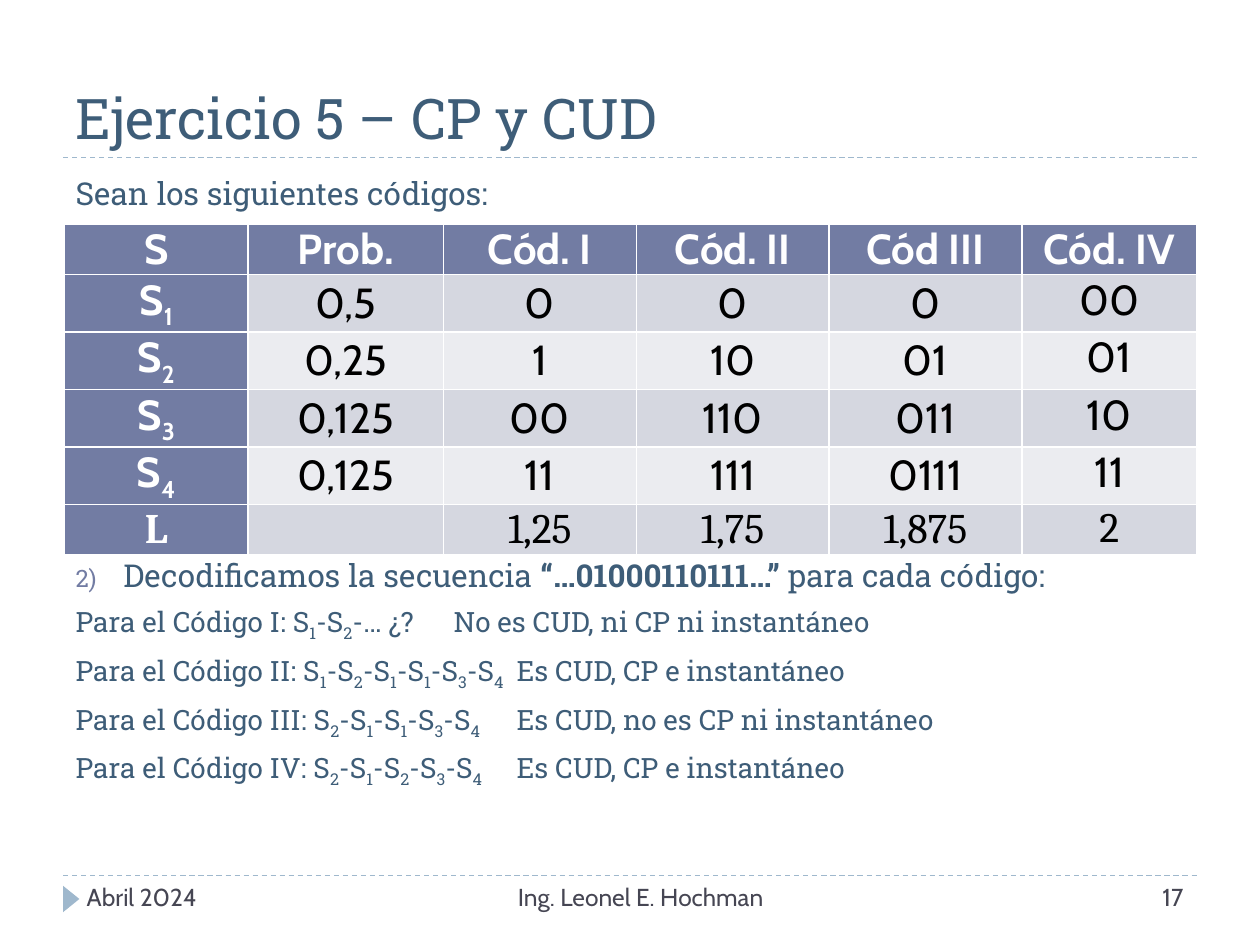
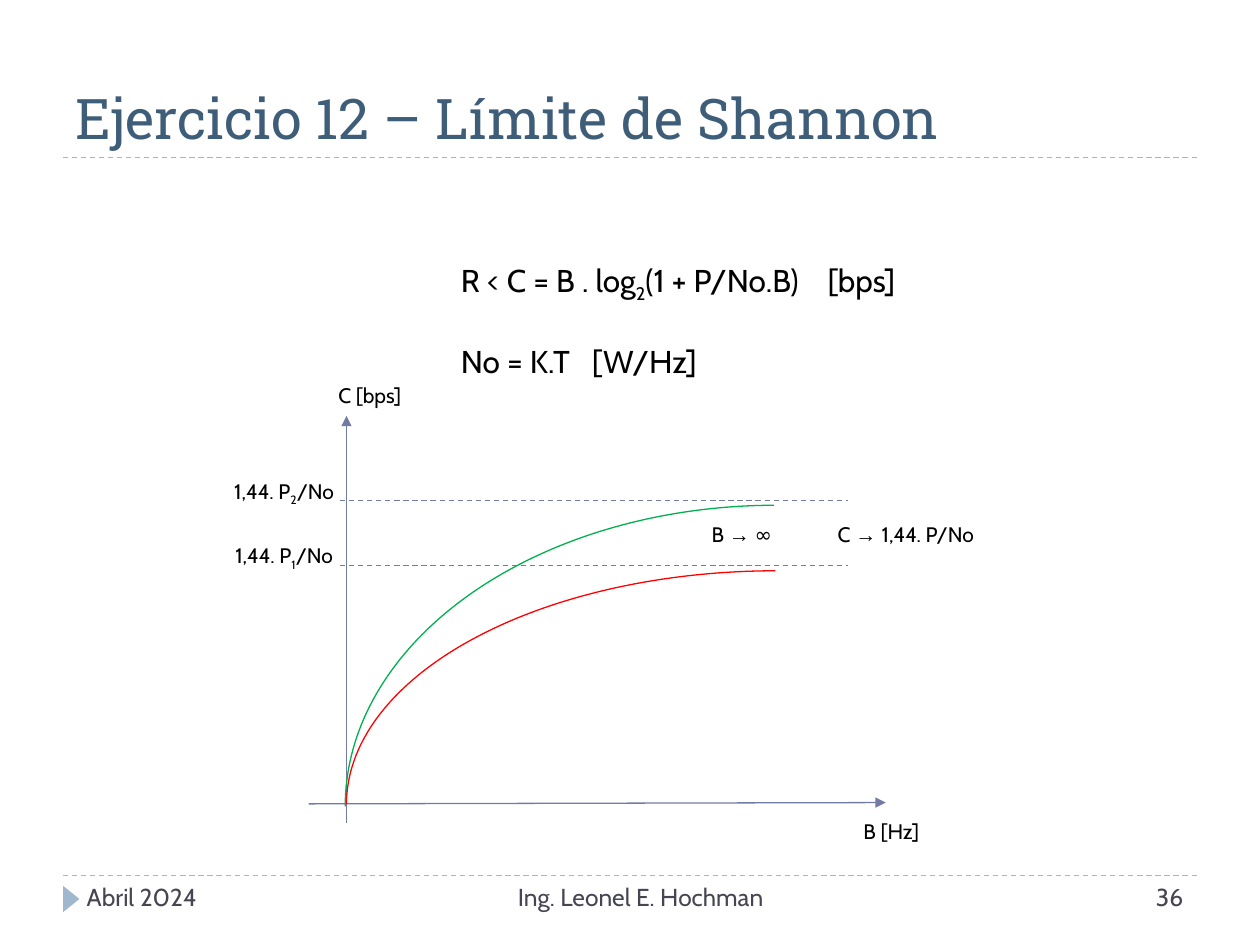
import pptx
import pptx.util
from lxml import etree
from pptx.dml.color import RGBColor
from pptx.enum.dml import MSO_LINE
from pptx.enum.shapes import MSO_CONNECTOR, MSO_SHAPE
from pptx.enum.text import MSO_ANCHOR, MSO_AUTO_SIZE, PP_ALIGN
from pptx.oxml.ns import qn

PX = 9144  # EMU per px, 100 px to the inch

TITLE_BLUE = RGBColor(0x3E, 0x5D, 0x78)
RULE_BLUE = RGBColor(0x9F, 0xB8, 0xCD)
ACCENT = RGBColor(0x72, 0x7C, 0xA3)
FOOTER_GRAY = RGBColor(0x46, 0x46, 0x53)
BAND_DARK = RGBColor(0xD5, 0xD7, 0xE0)
BAND_LIGHT = RGBColor(0xEB, 0xEC, 0xF0)
RED = RGBColor(0xFF, 0x00, 0x00)
GREEN = RGBColor(0x00, 0xB0, 0x50)
BLACK = RGBColor(0, 0, 0)
WHITE = RGBColor(0xFF, 0xFF, 0xFF)

SERIF = "Roboto Slab"
SANS = "Cabin"


def write(paragraph, marked, size, color=BLACK, face=SANS, align=PP_ALIGN.LEFT, tab=None):
    """Fill a paragraph; text between two ~ marks becomes a subscript."""
    for i, piece in enumerate(marked.split("~")):
        if piece:
            run = paragraph.add_run()
            run.text = piece
            if i % 2:
                run._r.get_or_add_rPr().set("baseline", "-25000")
    paragraph.alignment = align
    if tab:
        stops = etree.SubElement(paragraph._p.get_or_add_pPr(), qn("a:tabLst"))
        etree.SubElement(stops, qn("a:tab"), pos=str(tab * PX), algn="l")
    paragraph.font.name = face
    paragraph.font.size = pptx.util.Pt(size)
    paragraph.font.color.rgb = color


def draw_line(slide, ends, color, dashed=False, arrow=False):
    line = slide.shapes.add_connector(MSO_CONNECTOR.STRAIGHT, *[v * PX for v in ends])
    line.line.color.rgb = color
    line.line.width = pptx.util.Pt(0.75)
    if dashed:
        line.line.dash_style = MSO_LINE.DASH
    if arrow:
        etree.SubElement(line.line._get_or_add_ln(), qn("a:tailEnd"), type="triangle")
    etree.SubElement(line._element.spPr, qn("a:effectLst"))


deck = pptx.Presentation()
deck.slide_width = 1000 * PX
deck.slide_height = 750 * PX

# Shared frame: rules, marker, title and footer
frames = [
    (1, "Ejercicio 5 – CP y CUD", "17"),
    (5, "Ejercicio 12 – Límite de Shannon", "36"),
]
for layout, heading, number in frames:
    slide = deck.slides.add_slide(deck.slide_layouts[layout])
    for y in (695, 125):
        draw_line(slide, (50, y, 950, y), RULE_BLUE, dashed=True)

    marker = slide.shapes.add_shape(
        MSO_SHAPE.ISOSCELES_TRIANGLE, 46 * PX, 707 * PX, 21 * PX, 13 * PX)
    marker.rotation = 90
    marker.shadow.inherit = False
    marker.fill.solid()
    marker.fill.fore_color.rgb = RULE_BLUE
    marker.line.fill.background()

    title = slide.shapes.title
    title.left, title.top, title.width, title.height = [v * PX for v in (50, 17, 900, 108)]
    title.text_frame.auto_size = MSO_AUTO_SIZE.NONE
    title.text_frame.vertical_anchor = MSO_ANCHOR.BOTTOM
    write(title.text_frame.paragraphs[0], heading, 32, TITLE_BLUE, SERIF)

    for left, width, words, align in (
        (59, 250, "Abril 2024", PP_ALIGN.LEFT),
        (317, 383, "Ing. Leonel E. Hochman", PP_ALIGN.CENTER),
        (732, 217, number, PP_ALIGN.RIGHT),
    ):
        footer = slide.shapes.add_textbox(left * PX, 695 * PX, width * PX, 40 * PX)
        footer.text_frame.word_wrap = True
        write(footer.text_frame.paragraphs[0], words, 14, FOOTER_GRAY, align=align)

codes_slide, limit_slide = deck.slides

# Slide 1: statement and decoding
body = codes_slide.placeholders[1]
body.left, body.top, body.width, body.height = [v * PX for v in (50, 133, 900, 540)]
body.text_frame.auto_size = MSO_AUTO_SIZE.NONE
TABLE_GAP = 197  # points left free for the table
statements = [
    ("Sean los siguientes códigos:", 18, 0, None),
    ("Decodificamos la secuencia ", 18, TABLE_GAP, None),
    ("Para el Código I: S~1~-S~2~-… ¿?\tNo es CUD, ni CP ni instantáneo", 16, 6, 400),
    ("Para el Código II: S~1~-S~2~-S~1~-S~1~-S~3~-S~4~\tEs CUD, CP e instantáneo", 16, 6, 500),
    ("Para el Código III: S~2~-S~1~-S~1~-S~3~-S~4~\tEs CUD, no es CP ni instantáneo",
     16, 6, 500),
    ("Para el Código IV: S~2~-S~1~-S~2~-S~3~-S~4~\tEs CUD, CP e instantáneo", 16, 6, 500),
]
for i, (words, size, gap, tab) in enumerate(statements):
    paragraph = body.text_frame.paragraphs[0] if i == 0 else body.text_frame.add_paragraph()
    props = paragraph._p.get_or_add_pPr()
    paragraph.space_before = pptx.util.Pt(gap)
    numbered = gap == TABLE_GAP
    props.set("marL", str(38 * PX if numbered else 0))
    props.set("indent", str(-38 * PX if numbered else 0))
    if numbered:
        bullet_color = etree.SubElement(props, qn("a:buClr"))
        etree.SubElement(bullet_color, qn("a:srgbClr"), val=str(ACCENT))
        etree.SubElement(props, qn("a:buSzPct"), val="76000")
        etree.SubElement(props, qn("a:buFont"), typeface=SERIF)
        etree.SubElement(props, qn("a:buAutoNum"), type="arabicParenR", startAt="2")
    else:
        etree.SubElement(props, qn("a:buNone"))
    write(paragraph, words, size, TITLE_BLUE, SERIF, PP_ALIGN.JUSTIFY, tab)
    if numbered:
        sequence = paragraph.add_run()
        sequence.text = "“…01000110111…”"
        sequence.font.bold = True
        paragraph.add_run().text = " para cada código:"

# Slide 1: code table
code_rows = [
    ["S", "Prob.", "Cód. I", "Cód. II", "Cód III", "Cód. IV"],
    ["S~1~", "0,5", "0", "0", "0", "00"],
    ["S~2~", "0,25", "1", "10", "01", "01"],
    ["S~3~", "0,125", "00", "110", "011", "10"],
    ["S~4~", "0,125", "11", "111", "0111", "11"],
    ["L", "", "1,25", "1,75", "1,875", "2"],
]
column_widths = [146, 155, 153, 153, 153, 139]
row_heights = [40, 45, 45, 45, 45, 38]
codes = codes_slide.shapes.add_table(
    6, 6, 51 * PX, 178 * PX, sum(column_widths) * PX, sum(row_heights) * PX).table
codes.first_col = True
for column, width in zip(codes.columns, column_widths):
    column.width = width * PX
for r, (row, height) in enumerate(zip(code_rows, row_heights)):
    codes.rows[r].height = height * PX
    for c, words in enumerate(row):
        cell = codes.cell(r, c)
        is_header = r == 0 or c == 0
        cell.margin_left = cell.margin_right = 7 * PX
        cell.margin_top = cell.margin_bottom = 0
        cell.vertical_anchor = MSO_ANCHOR.TOP if c == 5 else MSO_ANCHOR.MIDDLE
        cell.fill.solid()
        cell.fill.fore_color.rgb = ACCENT if is_header else BAND_DARK if r % 2 else BAND_LIGHT
        paragraph = cell.text_frame.paragraphs[0]
        write(paragraph, words, 24, WHITE if is_header else BLACK,
              "Cambria" if r == 5 else SANS, PP_ALIGN.CENTER)
        paragraph.font.bold = is_header

# Slide 2: axes, capacity curves and their limits
draw_line(limit_slide, (275, 653, 275, 330), ACCENT, arrow=True)
draw_line(limit_slide, (245, 638, 703, 637), ACCENT, arrow=True)
for color, left, top, height, limit in ((RED, 275, 453, 371, 449), (GREEN, 274, 401, 478, 397)):
    curve = limit_slide.shapes.add_shape(
        MSO_SHAPE.ARC, left * PX, top * PX, 683 * PX, height * PX)
    curve.adjustments[0] = 162.18
    curve.adjustments[1] = 0
    curve._element.spPr.find(qn("a:xfrm")).set("flipH", "1")
    curve.shadow.inherit = False
    curve.fill.background()
    curve.line.color.rgb = color
    curve.line.width = pptx.util.Pt(0.75)
    draw_line(limit_slide, (270, limit, 673, limit), ACCENT, dashed=True)

for left, top, words in (
    (237, 299, "C [bps]"),
    (651, 645, "B [Hz]"),
    (169, 426, "1,44. P~1~/No"),
    (169, 375, "1,44. P~2~/No"),
):
    label = limit_slide.shapes.add_textbox(left * PX, top * PX, 113 * PX, 30 * PX)
    label.text_frame.word_wrap = True
    write(label.text_frame.paragraphs[0], words, 12, align=PP_ALIGN.CENTER)

# Slide 2: formulas
formulas = limit_slide.shapes.add_textbox(356 * PX, 202 * PX, 417 * PX, 101 * PX).text_frame
formulas.word_wrap = True
write(formulas.paragraphs[0], "R < C = B . log~2~(1 + P/No.B)\t[bps]", 18, tab=291)
noise = formulas.add_paragraph()
noise.space_before = pptx.util.Pt(22)
write(noise, "No = K.T\t[W/Hz]", 18, tab=104)

tendency = limit_slide.shapes.add_textbox(555 * PX, 409 * PX, 298 * PX, 50 * PX).text_frame
tendency.word_wrap = True
limit_line = tendency.paragraphs[0]
write(limit_line, "", 12, tab=100)
for words in ("B ", "→", " ∞\tC ", "→ ", "1,44. P/No"):
    run = limit_line.add_run()
    run.text = words
    run.font.name = "Times New Roman" if "→" in words else SANS

deck.save("out.pptx")
